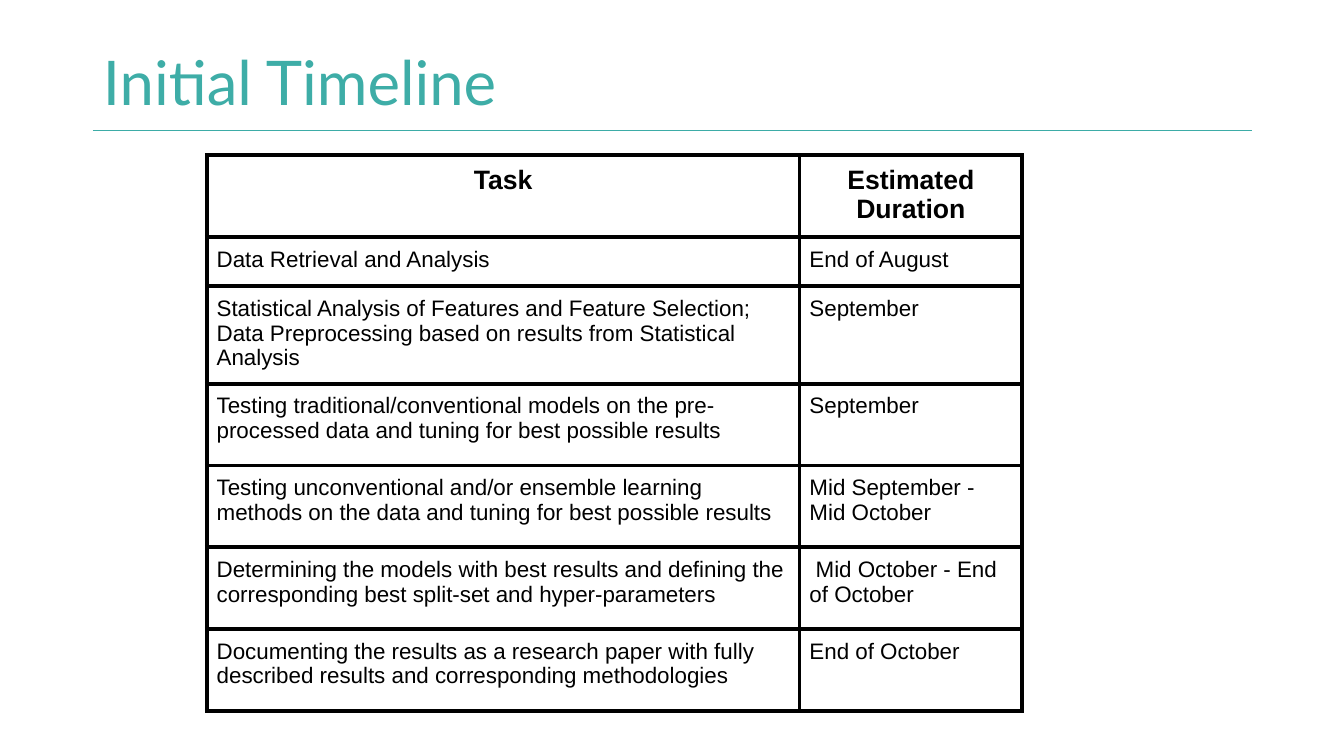
from dataclasses import dataclass

from lxml import etree
from pptx import Presentation
from pptx.dml.color import RGBColor
from pptx.enum.shapes import MSO_CONNECTOR
from pptx.enum.text import MSO_ANCHOR, PP_ALIGN
from pptx.oxml.ns import qn
from pptx.util import Cm, Pt

STRAIGHT = MSO_CONNECTOR.STRAIGHT
LEFT, CENTER = PP_ALIGN.LEFT, PP_ALIGN.CENTER
TOP, MIDDLE = MSO_ANCHOR.TOP, MSO_ANCHOR.MIDDLE
TITLE_ONLY = 5


@dataclass(frozen=True)
class Theme:
    title_color: str = "3EADA7"
    rule_color: str = "3DACA7"
    table_color: str = "000000"
    title_font: str = "Lato"
    table_font: str = "Arial"
    title_size: float = 44
    header_size: float = 19
    body_size: float = 16
    rule_width: float = 0.75
    border_width: float = 3


def write_text(frame, text, *, font, size, color, bold=False, align=LEFT, spacing=None):
    frame.word_wrap = True
    paragraph = frame.paragraphs[0]
    paragraph.alignment = align
    paragraph.line_spacing = spacing
    run = paragraph.add_run()
    run.text = text
    run.font.name = font
    run.font.size = Pt(size)
    run.font.bold = bold
    run.font.color.rgb = RGBColor.from_string(color)


class SlideBuilder:
    def __init__(self, slide, theme):
        self.slide = slide
        self.theme = theme

    def title(self, text, left, top, width, height):
        shape = self.slide.shapes.title
        shape.left, shape.top = Cm(left), Cm(top)
        shape.width, shape.height = Cm(width), Cm(height)
        shape.text_frame.vertical_anchor = MIDDLE
        write_text(shape.text_frame, text, font=self.theme.title_font,
                   size=self.theme.title_size, color=self.theme.title_color, spacing=0.9)

    def rule(self, left, right, top):
        connector = self.slide.shapes.add_connector(
            STRAIGHT, Cm(left), Cm(top), Cm(right), Cm(top))
        connector.line.color.rgb = RGBColor.from_string(self.theme.rule_color)
        connector.line.width = Pt(self.theme.rule_width)
        etree.SubElement(connector._element.spPr, qn("a:effectLst"))

    def borders(self, cell):
        properties = cell._tc.get_or_add_tcPr()
        for side in ("a:lnL", "a:lnR", "a:lnT", "a:lnB"):
            line = etree.SubElement(properties, qn(side), w=str(Pt(self.theme.border_width)))
            fill = etree.SubElement(line, qn("a:solidFill"))
            etree.SubElement(fill, qn("a:srgbClr"), val=self.theme.table_color)

    def cell(self, cell, text, is_header):
        self.borders(cell)
        cell.fill.background()
        cell.vertical_anchor = TOP
        cell.margin_left = cell.margin_right = Cm(0.25)
        cell.margin_top = cell.margin_bottom = Cm(0.25)
        write_text(cell.text_frame, text, font=self.theme.table_font,
                   size=self.theme.header_size if is_header else self.theme.body_size,
                   color=self.theme.table_color, bold=is_header,
                   align=CENTER if is_header else LEFT)

    def table(self, rows, left, top, column_widths, row_heights):
        frame = self.slide.shapes.add_table(
            len(rows), len(column_widths), Cm(left), Cm(top),
            Cm(sum(column_widths)), Cm(sum(row_heights)))
        table = frame.table
        table.first_row = table.horz_banding = False
        for column, width in zip(table.columns, column_widths):
            column.width = Cm(width)
        for row_index, (texts, height) in enumerate(zip(rows, row_heights)):
            table.rows[row_index].height = Cm(height)
            for column_index, text in enumerate(texts):
                self.cell(table.cell(row_index, column_index), text, row_index == 0)


TIMELINE = [
    ("Task", "Estimated Duration"),
    ("Data Retrieval and Analysis", "End of August"),
    ("Statistical Analysis of Features and Feature Selection; "
     "Data Preprocessing based on results from Statistical Analysis", "September"),
    ("Testing traditional/conventional models on the pre-processed data "
     "and tuning for best possible results", "September"),
    ("Testing unconventional and/or ensemble learning methods on the data "
     "and tuning for best possible results", "Mid September - Mid October"),
    ("Determining the models with best results and defining the corresponding "
     "best split-set and hyper-parameters", " Mid October - End of October"),
    ("Documenting the results as a research paper with fully described results "
     "and corresponding methodologies", "End of October"),
]
ONE_LINE, TWO_LINES, THREE_LINES = 1.24, 2.06, 2.46
ROW_HEIGHTS = [TWO_LINES, ONE_LINE, THREE_LINES] + [TWO_LINES] * 4

presentation = Presentation()
presentation.slide_width, presentation.slide_height = Cm(33.87), Cm(19.05)
slide = presentation.slides.add_slide(presentation.slide_layouts[TITLE_ONLY])
builder = SlideBuilder(slide, Theme())
builder.rule(2.34, 31.55, 3.3)
builder.title("Initial Timeline", 2.34, 1.02, 26.24, 2.29)
builder.table(TIMELINE, 5.21, 3.91, [14.94, 5.61], ROW_HEIGHTS)
presentation.save("out.pptx")
